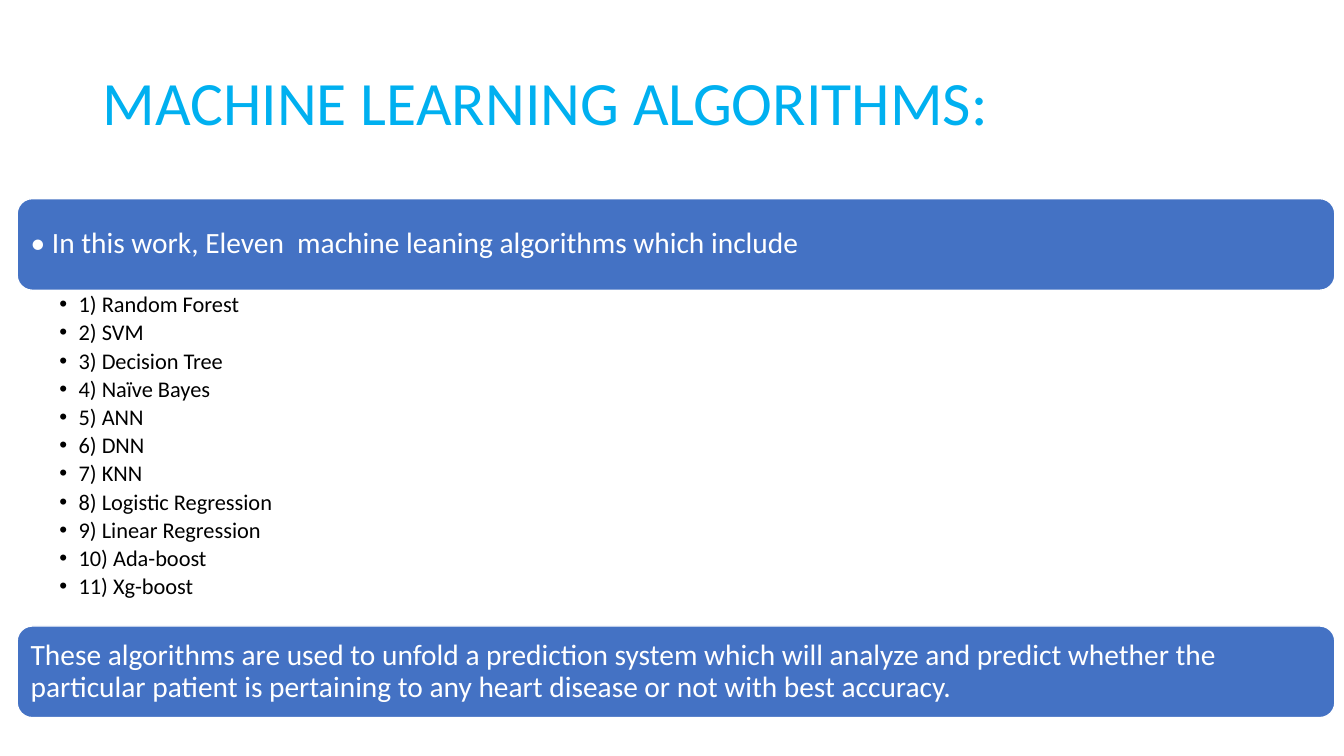
from dataclasses import dataclass

from lxml import etree
from pptx import Presentation, util as u
from pptx.dml.color import RGBColor
from pptx.enum import shapes, text
from pptx.oxml.ns import qn
from pptx.slide import Slide
from pptx.text.text import TextFrame, _Paragraph

EMU_PER_PX = 9144  # 100 px to the inch
FONT = "Calibri"
SKY = RGBColor(0x00, 0xB0, 0xF0)
BLUE = RGBColor(0x44, 0x72, 0xC4)
WHITE = RGBColor(0xFF, 0xFF, 0xFF)
BLACK = RGBColor(0x00, 0x00, 0x00)

BULLET_INDENT = 19


@dataclass(frozen=True)
class Box:
    left: int
    top: int
    width: int
    height: int


@dataclass(frozen=True)
class Insets:
    left: int
    top: int
    right: int
    bottom: int


@dataclass(frozen=True)
class Style:
    size: int
    color: RGBColor
    space_after: float = 0


@dataclass(frozen=True)
class Banner:
    box: Box
    wording: str


TITLE_STYLE = Style(44, SKY)
BANNER_STYLE = Style(21, WHITE)
LIST_STYLE = Style(16, BLACK, 2.9)

TITLE_BOX = Box(92, 40, 1150, 129)
LIST_BOX = Box(17, 288, 1307, 333)
TITLE_INSETS = Insets(10, 5, 10, 5)
BANNER_INSETS = Insets(9, 9, 9, 9)
LIST_INSETS = Insets(42, 3, 16, 3)

BANNERS = [
    Banner(Box(17, 197, 1307, 91),
           "• In this work, Eleven  machine leaning algorithms which include"),
    Banner(Box(17, 621, 1307, 91),
           "These algorithms are used to unfold a prediction system which will "
           "analyze and predict whether the particular patient is pertaining to "
           "any heart disease or not with best accuracy."),
]
ALGORITHMS = [
    "Random Forest", "SVM", "Decision Tree", "Naïve Bayes", "ANN", "DNN", "KNN",
    "Logistic Regression", "Linear Regression", "Ada-boost", "Xg-boost",
]


def px(length: int) -> u.Emu:
    return u.Emu(length * EMU_PER_PX)


def place(box: Box) -> tuple[u.Emu, u.Emu, u.Emu, u.Emu]:
    return px(box.left), px(box.top), px(box.width), px(box.height)


def set_frame(frame: TextFrame, insets: Insets, anchor: text.MSO_ANCHOR) -> None:
    frame.word_wrap = True
    frame.vertical_anchor = anchor
    frame.margin_left, frame.margin_top = px(insets.left), px(insets.top)
    frame.margin_right, frame.margin_bottom = px(insets.right), px(insets.bottom)


def write(paragraph: _Paragraph, wording: str, style: Style) -> None:
    paragraph.alignment = text.PP_ALIGN.LEFT
    paragraph.line_spacing = 0.9
    paragraph.space_after = u.Pt(style.space_after)
    run = paragraph.add_run()
    run.text = wording
    run.font.name = FONT
    run.font.size = u.Pt(style.size)
    run.font.color.rgb = style.color


def add_bullet(paragraph: _Paragraph) -> None:
    properties = paragraph._p.get_or_add_pPr()
    properties.set("marL", str(px(BULLET_INDENT)))
    properties.set("indent", str(-px(BULLET_INDENT)))
    etree.SubElement(properties, qn("a:buFont")).set("typeface", "Arial")
    etree.SubElement(properties, qn("a:buChar")).set("char", "•")


def draw_title(slide: Slide) -> None:
    frame = slide.shapes.add_textbox(*place(TITLE_BOX)).text_frame
    set_frame(frame, TITLE_INSETS, text.MSO_ANCHOR.MIDDLE)
    write(frame.paragraphs[0], "MACHINE LEARNING ALGORITHMS:", TITLE_STYLE)


def draw_banner(slide: Slide, banner: Banner) -> None:
    panel = slide.shapes.add_shape(
        shapes.MSO_SHAPE.ROUNDED_RECTANGLE, *place(banner.box))
    panel.shadow.inherit = False
    panel.fill.solid()
    panel.fill.fore_color.rgb = BLUE
    panel.line.color.rgb = WHITE
    panel.line.width = u.Pt(1)
    set_frame(panel.text_frame, BANNER_INSETS, text.MSO_ANCHOR.MIDDLE)
    write(panel.text_frame.paragraphs[0], banner.wording, BANNER_STYLE)


def draw_algorithms(slide: Slide) -> None:
    frame = slide.shapes.add_textbox(*place(LIST_BOX)).text_frame
    set_frame(frame, LIST_INSETS, text.MSO_ANCHOR.TOP)
    for number, algorithm in enumerate(ALGORITHMS, start=1):
        paragraph = frame.paragraphs[0] if number == 1 else frame.add_paragraph()
        write(paragraph, f"{number}) {algorithm}", LIST_STYLE)
        add_bullet(paragraph)


def main() -> None:
    deck = Presentation()
    deck.slide_width, deck.slide_height = px(1333), px(750)
    slide = deck.slides.add_slide(deck.slide_layouts[6])
    draw_title(slide)
    for banner in BANNERS:
        draw_banner(slide, banner)
    draw_algorithms(slide)
    deck.save("out.pptx")


if __name__ == "__main__":
    main()
